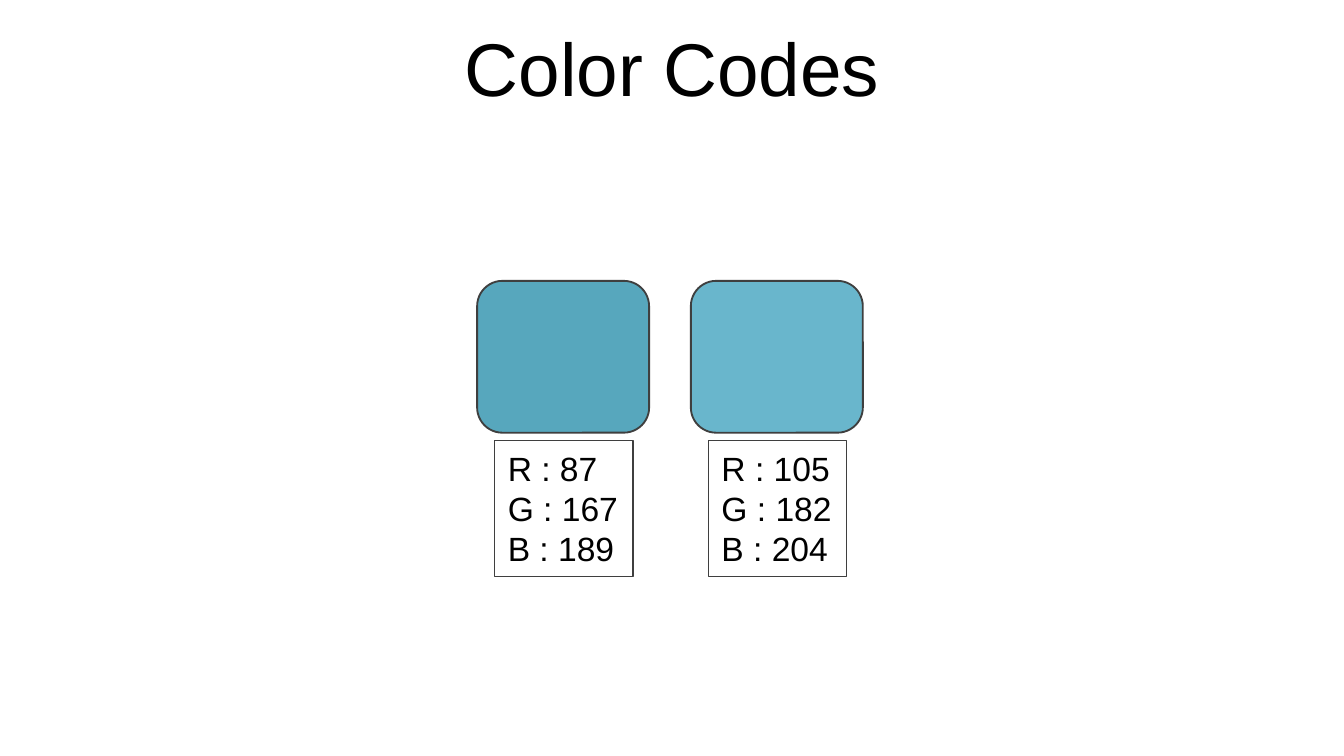
"""Build a slide that shows two colour swatches with their RGB codes."""
from pptx import Presentation
from pptx.dml.color import RGBColor
from pptx.enum.shapes import MSO_SHAPE
from pptx.enum.text import MSO_ANCHOR, PP_ALIGN
from pptx.util import Inches, Pt

ROUND, RECT = MSO_SHAPE.ROUNDED_RECTANGLE, MSO_SHAPE.RECTANGLE
LEFT, CENTER = PP_ALIGN.LEFT, PP_ALIGN.CENTER
TOP, MIDDLE = MSO_ANCHOR.TOP, MSO_ANCHOR.MIDDLE

TITLE = "Color Codes"
SWATCHES = [(87, 167, 189), (105, 182, 204)]
COLORS = {"text": "000000", "line": "3F3F3F"}
WIDTH = 10
HEIGHT = WIDTH * 9 / 16
START, STEP, INSET = 3.55, 1.59, 0.13
TILE_TOP, TILE_W, TILE_H = 2.09, 1.28, 1.13
CODE_TOP, CODE_W, CODE_H = 3.28, 1.03, 1.01


def write(shape, lines, size, align=LEFT, anchor=TOP, pad=0.05, wrap=False):
    frame = shape.text_frame
    frame.word_wrap = wrap
    frame.vertical_anchor = anchor
    frame.margin_left = frame.margin_right = Inches(0.1)
    frame.margin_top = frame.margin_bottom = Inches(pad)
    frame.text = "\n".join(lines)
    for para in frame.paragraphs:
        para.alignment = align
        para.font.size = Pt(size)
        para.font.name = "Arial"
        para.font.color.rgb = RGBColor.from_string(COLORS["text"])


def add_box(group, kind, x, y, w, h, weight, fill=None):
    box = group.shapes.add_shape(kind, Inches(x), Inches(y), Inches(w), Inches(h))
    box.shadow.inherit = False
    if fill:
        box.fill.solid()
        box.fill.fore_color.rgb = RGBColor(*fill)
    else:
        box.fill.background()
    box.line.color.rgb = RGBColor.from_string(COLORS["line"])
    box.line.width = Pt(weight)
    return box


def main():
    deck = Presentation()
    deck.slide_width, deck.slide_height = Inches(WIDTH), Inches(HEIGHT)
    slide = deck.slides.add_slide(deck.slide_layouts[5])
    title = slide.shapes.title
    title.left, title.top = Inches(0), Inches(0.16)
    title.width, title.height = Inches(WIDTH), Inches(0.67)
    write(title, [TITLE], 40, align=CENTER, anchor=MIDDLE, pad=0.1, wrap=True)

    for i, rgb in enumerate(SWATCHES):
        x = START + i * STEP
        group = slide.shapes.add_group_shape()
        add_box(group, ROUND, x, TILE_TOP, TILE_W, TILE_H, 1, fill=rgb)
        code = add_box(group, RECT, x + INSET, CODE_TOP, CODE_W, CODE_H, 0.75)
        write(code, [f"{name} : {value}" for name, value in zip("RGB", rgb)], 18)

    deck.save("out.pptx")


if __name__ == "__main__":
    main()
